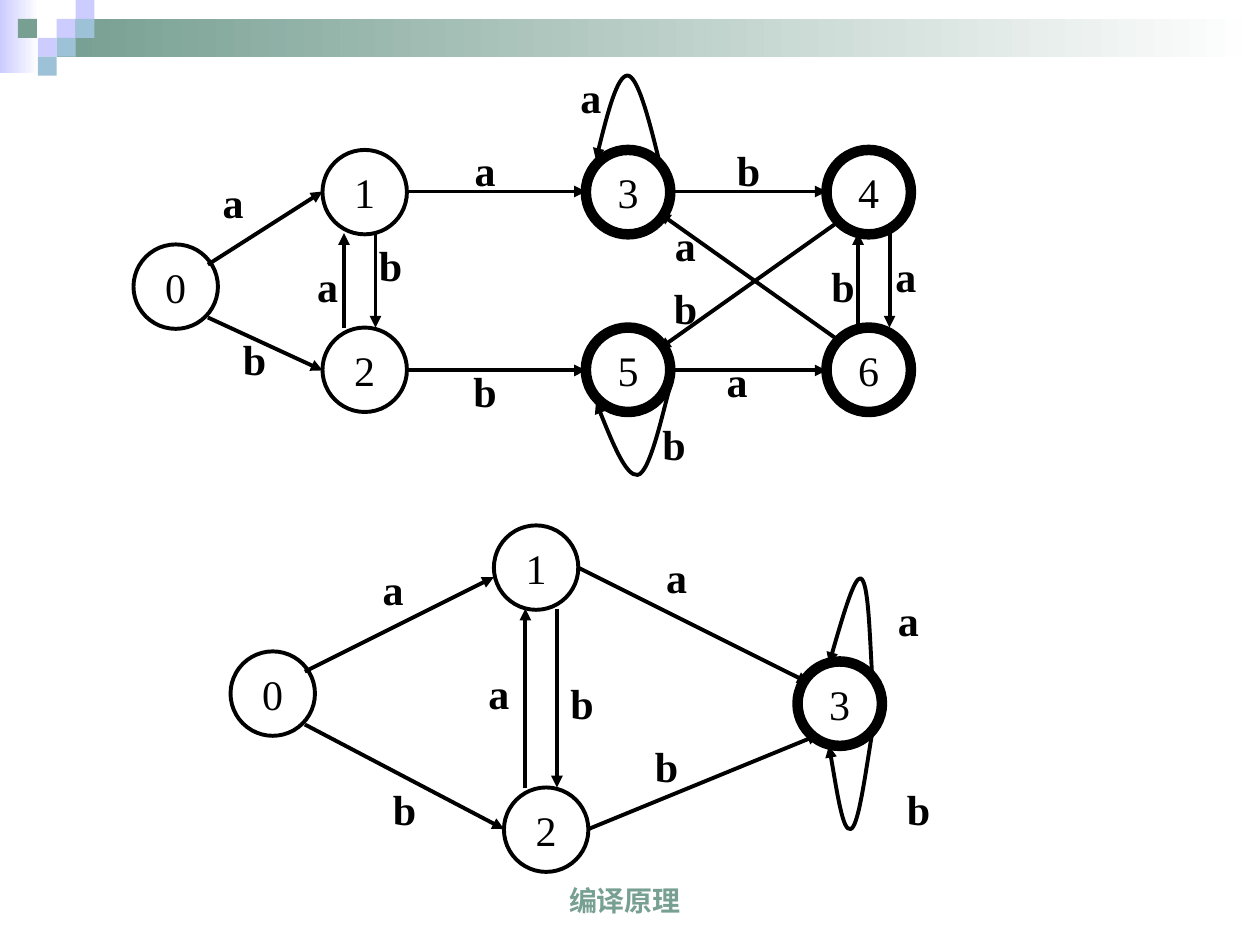
from dataclasses import dataclass

from lxml import etree
from pptx import Presentation
from pptx.dml.color import RGBColor
from pptx.enum.shapes import MSO_CONNECTOR, MSO_SHAPE
from pptx.enum.text import MSO_ANCHOR, MSO_AUTO_SIZE, PP_ALIGN
from pptx.oxml.ns import qn
from pptx.util import Inches, Pt

RECT, OVAL = MSO_SHAPE.RECTANGLE, MSO_SHAPE.OVAL
STRAIGHT = MSO_CONNECTOR.STRAIGHT
MIDDLE, BOTTOM = MSO_ANCHOR.MIDDLE, MSO_ANCHOR.BOTTOM


@dataclass(frozen=True)
class Theme:
    ink: RGBColor = RGBColor(0, 0, 0)
    white: RGBColor = RGBColor(0xFF, 0xFF, 0xFF)
    lilac: RGBColor = RGBColor(0xCC, 0xCC, 0xFF)
    green: RGBColor = RGBColor(0x77, 0x9F, 0x92)
    blue: RGBColor = RGBColor(0x9D, 0xC2, 0xD7)
    graph_font: str = "Times New Roman"
    footer_font: str = "Arial"
    graph_size: int = 24
    footer_size: int = 16
    thin: float = 2.25
    thick: float = 6


T = Theme()


def write(shape, text, bold, font=T.graph_font, size=T.graph_size,
          color=T.ink, anchor=MIDDLE, wrap=False):
    tf = shape.text_frame
    tf.auto_size = MSO_AUTO_SIZE.NONE
    tf.word_wrap = wrap
    tf.vertical_anchor = anchor
    p = tf.paragraphs[0]
    p.alignment = PP_ALIGN.CENTER
    r = p.add_run()
    r.text = text
    r.font.name, r.font.size, r.font.bold = font, Pt(size), bold
    r.font.color.rgb = color


def make_arrow(shape):
    """Give a connector or freeform a black line ending in an arrowhead."""
    shape.line.color.rgb = T.ink
    shape.line.width = Pt(T.thin)
    spPr = shape._element.spPr
    etree.SubElement(spPr.find(qn("a:ln")), qn("a:tailEnd"), type="triangle")
    etree.SubElement(spPr, qn("a:effectLst"))


prs = Presentation()
prs.slide_width, prs.slide_height = Inches(10), Inches(7.5)
s = prs.slides.add_slide(prs.slide_layouts[6])

# Header: two fading bars, then a mosaic of small squares
header = s.shapes.add_group_shape().shapes
for x, y, w, h, color in [(0, 0, 0.31, 0.58, T.lilac),
                          (0.45, 0.15, 9.55, 0.3, T.green)]:
    bar = header.add_shape(RECT, Inches(x), Inches(y), Inches(w), Inches(h))
    bar.shadow.inherit = False
    bar.line.fill.background()
    bar.fill.gradient()
    bar.fill.gradient_angle = 0
    for stop, position, rgb in zip(bar.fill.gradient_stops, (0, 1), (color, T.white)):
        stop.position = position
        stop.color.rgb = rgb

TILE = 0.15
for col, row, color in [(3, 1, T.lilac), (4, 0, T.lilac), (4, 1, T.blue),
                        (2, 2, T.lilac), (0.95, 1, T.green), (3, 2, T.blue),
                        (2, 3, T.blue)]:
    tile = header.add_shape(RECT, Inches(col * TILE), Inches(row * TILE),
                            Inches(TILE), Inches(TILE))
    tile.shadow.inherit = False
    tile.fill.solid()
    tile.fill.fore_color.rgb = color
    tile.line.fill.background()

footer = s.shapes.add_textbox(Inches(3.19), Inches(6.83), Inches(3.54), Inches(0.5))
write(footer, "编译原理", True, T.footer_font, T.footer_size, T.green, BOTTOM, True)

# States: name, left, top, accepting
# Transitions: start x, y, end x, y, then label, its left and top
# Loops: Bezier points (each curve starts where the last ended), then label
full_dfa = {
    "states": [("0", 1.06, 1.94, False), ("1", 2.56, 1.19, False),
               ("2", 2.56, 2.6, False), ("3", 4.65, 1.19, True),
               ("5", 4.65, 2.6, True), ("4", 6.56, 1.19, True),
               ("6", 6.56, 2.6, True)],
    "transitions": [(1.65, 2.1, 2.56, 1.52, "a", 1.56, 1.35),
                    (3.23, 1.52, 4.65, 1.52, "a", 3.56, 1.1),
                    (5.31, 1.52, 6.56, 1.52, "b", 5.65, 1.1),
                    (1.65, 2.52, 2.56, 2.94, "b", 1.73, 2.6),
                    (3.23, 2.94, 4.65, 2.94, "b", 3.56, 2.85),
                    (5.31, 2.94, 6.56, 2.94, "a", 5.56, 2.77),
                    (2.98, 1.85, 2.98, 2.6, "b", 2.81, 1.85),
                    (2.73, 2.6, 2.73, 1.85, "a", 2.31, 2.02),
                    (6.81, 2.6, 6.81, 1.85, "b", 6.4, 2.02),
                    (7.06, 1.85, 7.06, 2.6, "a", 6.9, 1.94),
                    (6.64, 1.77, 5.23, 2.77, "b", 5.15, 2.19),
                    (6.64, 2.69, 5.23, 1.69, "a", 5.15, 1.69)],
    "loops": [([(5.23, 1.27), (5.15, 0.94), (5.06, 0.6), (4.98, 0.6),
                (4.9, 0.6), (4.81, 0.94), (4.73, 1.27)], "a", 4.4, 0.52),
              ([(5.31, 3.02), (5.33, 3), (5.35, 2.98), (5.31, 3.1),
                (5.27, 3.23), (5.16, 3.76), (5.06, 3.77),
                (4.97, 3.78), (4.85, 3.49), (4.73, 3.19)], "b", 5.06, 3.27)],
}
minimal_dfa = {
    "states": [("0", 1.83, 5.17, False), ("1", 3.92, 4.17, False),
               ("2", 4, 6.25, False), ("3", 6.33, 5.25, True)],
    "transitions": [(2.42, 5.33, 3.92, 4.58, "a", 2.83, 4.42),
                    (4.58, 4.5, 6.42, 5.42, "a", 5.08, 4.33),
                    (2.42, 5.75, 4, 6.58, "b", 2.92, 6.17),
                    (4.42, 4.83, 4.42, 6.25, "b", 4.33, 5.33),
                    (4.17, 6.25, 4.17, 4.83, "a", 3.67, 5.25),
                    (4.67, 6.58, 6.5, 5.83, "b", 5, 5.83)],
    "loops": [([(6.92, 5.33), (6.9, 4.97), (6.89, 4.61), (6.83, 4.59),
                (6.78, 4.58), (6.68, 4.92), (6.58, 5.27)], "a", 6.92, 4.67),
              ([(6.92, 5.83), (6.86, 6.2), (6.81, 6.57), (6.75, 6.58),
                (6.69, 6.6), (6.64, 6.26), (6.58, 5.92)], "b", 7, 6.17)],
}

NODE = 0.67
for dfa in (full_dfa, minimal_dfa):
    graph = s.shapes.add_group_shape().shapes
    for name, x, y, accepting in dfa["states"]:
        node = graph.add_shape(OVAL, Inches(x), Inches(y), Inches(NODE), Inches(NODE))
        node.shadow.inherit = False
        node.fill.background()
        node.line.color.rgb = T.ink
        node.line.width = Pt(T.thick if accepting else T.thin)
        write(node, name, False)

    for x1, y1, x2, y2, *_ in dfa["transitions"]:
        make_arrow(graph.add_connector(STRAIGHT, Inches(x1), Inches(y1),
                                       Inches(x2), Inches(y2)))

    for points, *_ in dfa["loops"]:
        start, *rest = [(Inches(x), Inches(y)) for x, y in points]
        builder = graph.build_freeform(*start)
        builder.add_line_segments(rest, close=False)
        loop = builder.convert_to_shape()
        loop.fill.background()
        make_arrow(loop)
        # Every three straight segments become one Bezier curve
        outline = next(loop._element.iter(qn("a:path")))
        segments = outline.findall(qn("a:lnTo"))
        for i in range(0, len(segments), 3):
            curve = etree.SubElement(outline, qn("a:cubicBezTo"))
            for segment in segments[i:i + 3]:
                curve.append(segment[0])
                outline.remove(segment)

    for *_, label, x, y in dfa["transitions"] + dfa["loops"]:
        box = graph.add_textbox(Inches(x), Inches(y), Inches(0.58), Inches(0.5))
        write(box, label, True)

prs.save("out.pptx")
